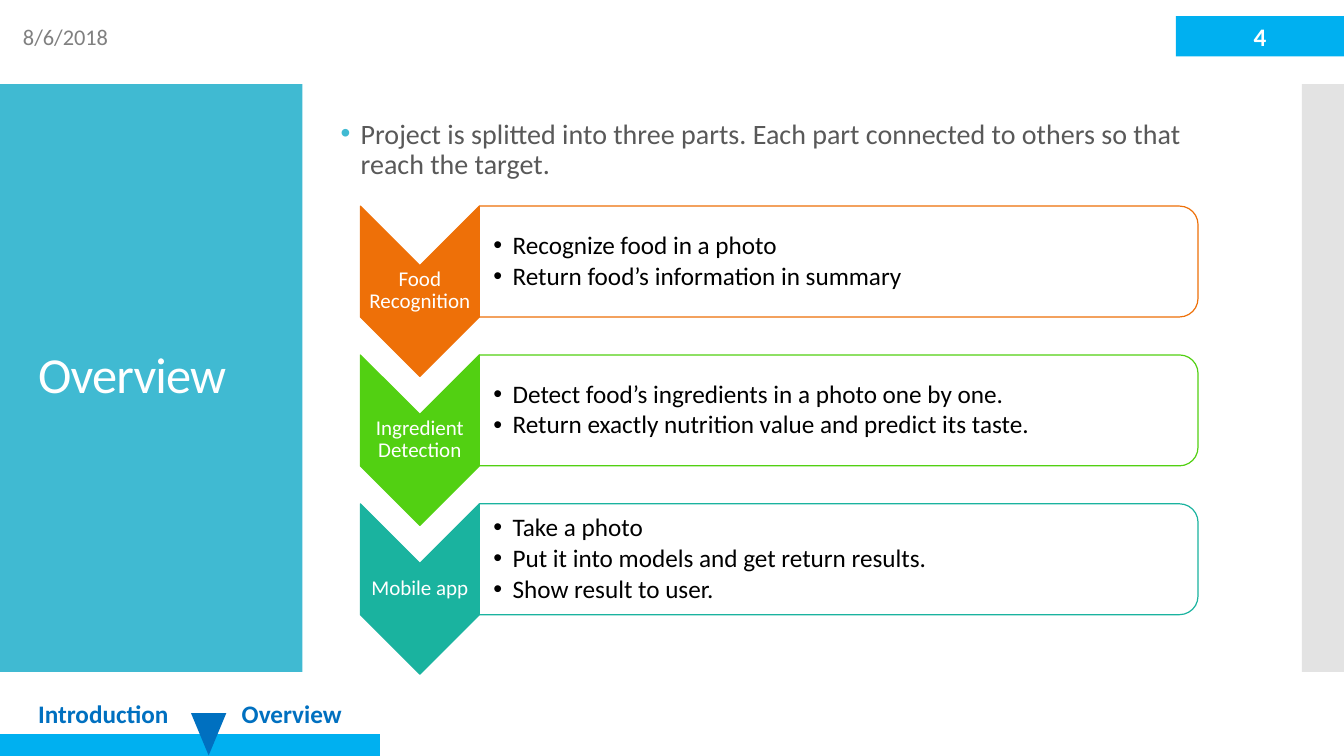
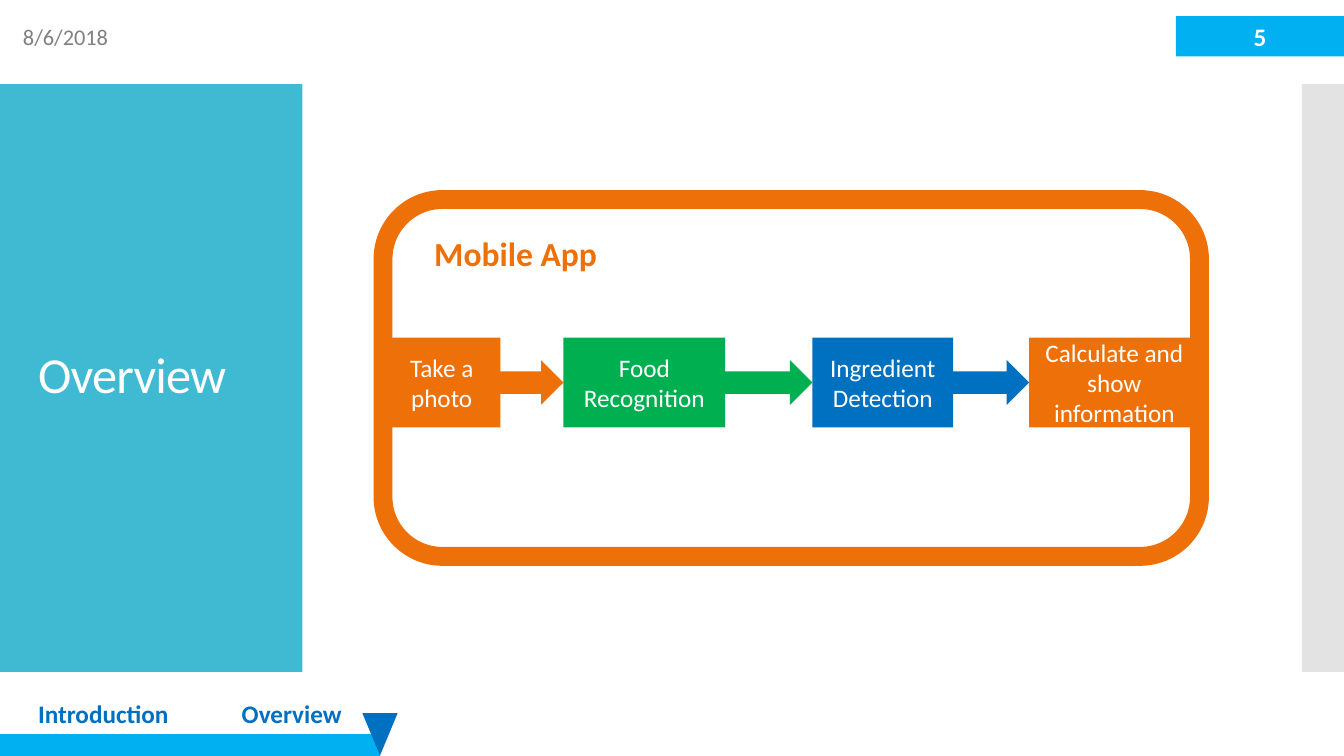
"""Build the two overview slides of a food recognition project."""
import lxml.etree
import pptx
import pptx.dml.color
import pptx.enum.shapes
import pptx.enum.text
import pptx.oxml.ns
import pptx.util

COLUMNS, ROWS = 160, 90
UNIT = pptx.util.Inches(7.5) / ROWS
SHAPE = pptx.enum.shapes.MSO_SHAPE
MIDDLE = pptx.enum.text.MSO_ANCHOR.MIDDLE
CENTER = pptx.enum.text.PP_ALIGN.CENTER

WHITE, BLACK = "FFFFFF", "000000"
TEAL, GRAY, BODY_GRAY, DATE_GRAY = "40BAD2", "E3E3E3", "595959", "808080"
SKY, BLUE = "00B0F0", "0070C0"
ORANGE, LIME, SEA, GREEN = "EE7008", "52D012", "1AB39F", "00B050"

TITLE = {"size": 36, "color": WHITE}
BODY = {"size": 20, "color": BODY_GRAY}
DATE = {"size": 16, "color": DATE_GRAY}
NUMBER = {"size": 18, "color": WHITE, "bold": True}
SECTION = {"size": 18, "color": BLUE, "bold": True}
HEADING = {"size": 24, "color": ORANGE, "bold": True}
STEP = {"size": 18, "color": WHITE}
PART = {"size": 15, "color": WHITE}
DETAIL = {"size": 18, "color": BLACK}

SECTIONS = [("Introduction", 3.36, 18.72, 0, 24.84),
            ("Overview", 27.6, 14.88, 24.84, 45.24)]
PARTS = [
    ("Food Recognition", ORANGE,
     ["Recognize food in a photo", "Return food’s information in summary"]),
    ("Ingredient Detection", LIME,
     ["Detect food’s ingredients in a photo one by one.",
      "Return exactly nutrition value and predict its taste."]),
    ("Mobile app", SEA,
     ["Take a photo", "Put it into models and get return results.",
      "Show result to user."]),
]
STEPS = [
    ("Take a photo", ORANGE, 21.48, SHAPE.RIGHT_ARROW_CALLOUT),
    ("Food Recognition", GREEN, 29.64, SHAPE.RIGHT_ARROW_CALLOUT),
    ("Ingredient Detection", BLUE, 25.8, SHAPE.RIGHT_ARROW_CALLOUT),
    ("Calculate and show information", ORANGE, 20.28, SHAPE.RECTANGLE),
]


def rgb(value):
    """Turn a hex string into a colour."""
    return pptx.dml.color.RGBColor.from_string(value)


def grid(*cells):
    """Turn grid columns and rows into slide lengths."""
    return [pptx.util.Emu(round(cell * UNIT)) for cell in cells]


def assign(target, values):
    """Set every attribute named in a dict of format values."""
    for name, value in values.items():
        setattr(target, name, value)


def add_bullet(para, indent, color=None):
    """Give a paragraph a hanging round bullet."""
    properties = para._p.get_or_add_pPr()
    width = pptx.util.Inches(indent)
    properties.set("marL", str(width))
    properties.set("indent", str(-width))
    qn = pptx.oxml.ns.qn
    if color:
        holder = lxml.etree.SubElement(properties, qn("a:buClr"))
        lxml.etree.SubElement(holder, qn("a:srgbClr")).set("val", color)
    lxml.etree.SubElement(properties, qn("a:buFont")).set("typeface", "Arial")
    lxml.etree.SubElement(properties, qn("a:buChar")).set("char", "•")


def write(box, lines, style, frame=None, layout=None, bullet=None, spacing=0):
    """Write one paragraph per line into a shape."""
    assign(box.text_frame, {"word_wrap": True, **(frame or {})})
    for index, line in enumerate(lines):
        if index:
            para = box.text_frame.add_paragraph()
        else:
            para = box.text_frame.paragraphs[0]
        assign(para, layout or {})
        if bullet:
            add_bullet(para, *bullet)
        span = para.add_run()
        span.text = line
        assign(span.font, {"name": "Calibri", "bold": style.get("bold", False),
                           "size": pptx.util.Pt(style["size"])})
        span.font.color.rgb = rgb(style["color"])
        if spacing:
            span._r.get_or_add_rPr().set("spc", str(spacing))


def add_text(page, cells, lines, style, **options):
    """Add a text box on the grid."""
    write(page.shapes.add_textbox(*grid(*cells)), lines, style, **options)


def add_block(page, kind, cells, fill=None, line=None, weight=0.85, rotation=0):
    """Add a preset shape that covers the given cells once rotated."""
    left, top, width, height = cells
    if rotation == 90:
        shift = (width - height) / 2
        left, top, width, height = left + shift, top - shift, height, width
    box = page.shapes.add_shape(kind, *grid(left, top, width, height))
    box.shadow.inherit = False
    box.rotation = rotation
    if fill:
        box.fill.solid()
        box.fill.fore_color.rgb = rgb(fill)
    else:
        box.fill.background()
    if line:
        box.line.color.rgb = rgb(line)
        box.line.width = pptx.util.Pt(weight)
    else:
        box.line.fill.background()
    return box


def add_page(deck, number, reached):
    """Add a page with bands, title, date, number and section progress."""
    page = deck.slides.add_slide(deck.slide_layouts[6])
    add_block(page, SHAPE.RECTANGLE, (0, 10, 36, 70), TEAL)
    add_block(page, SHAPE.RECTANGLE, (155, 10, 5, 70), GRAY)
    add_text(page, (3.36, 14.76, 29.64, 60.36), ["Overview"], TITLE,
             frame={"vertical_anchor": MIDDLE}, layout={"line_spacing": 0.9},
             spacing=-60)
    for name, left, width, start, end in SECTIONS:
        add_block(page, SHAPE.FLOWCHART_PROCESS,
                  (start, 87.36, end - start, 2.64), SKY)
        add_text(page, (left, 82.56, width, 4.8), [name], SECTION,
                 frame={"word_wrap": False})
    add_block(page, SHAPE.ISOSCELES_TRIANGLE,
              (SECTIONS[reached][-1] - 2.1, 84.9, 4.2, 5.04), BLUE, rotation=180)
    add_text(page, (1.56, 1.92, 36, 4.8), ["8/6/2018"], DATE,
             frame={"vertical_anchor": MIDDLE})
    badge = add_block(page, SHAPE.RECTANGLE, (140, 1.92, 20, 4.8), SKY)
    write(badge, [str(number)], NUMBER, frame={"vertical_anchor": MIDDLE},
          layout={"alignment": CENTER})
    return page


def add_part(page, top, name, color, details):
    """Add a chevron with its label and a panel of details."""
    margin = pptx.util.Inches(0.01)
    tight = {"vertical_anchor": MIDDLE, "margin_left": margin,
             "margin_right": margin, "margin_top": margin,
             "margin_bottom": margin}
    add_block(page, SHAPE.CHEVRON, (42.9, top, 14.16, 20.28), color, color,
              rotation=90)
    add_text(page, (42.9, top + 7.02, 14.16, 6.12), [name], PART, frame=tight,
             layout={"alignment": CENTER, "line_spacing": 0.9})
    add_block(page, SHAPE.ROUND_2_SAME_RECTANGLE, (57.06, top, 85.56, 13.2),
              WHITE, color, rotation=90)
    add_text(page, (57.06, top + 0.66, 84.96, 11.88), details, DETAIL,
             frame={**tight, "margin_left": pptx.util.Inches(0.14)},
             layout={"line_spacing": 0.9, "space_after": pptx.util.Pt(2.5)},
             bullet=(0.19,))


def add_steps(page, left, top, height):
    """Add the chain of steps, each starting where the last one ends."""
    for name, color, width, kind in STEPS:
        box = add_block(page, kind, (left, top, width, height), color)
        write(box, [name], STEP, frame={"vertical_anchor": MIDDLE},
              layout={"alignment": CENTER})
        left += width


def main():
    """Build and save the deck."""
    deck = pptx.Presentation()
    deck.slide_width, deck.slide_height = grid(COLUMNS, ROWS)

    page = add_page(deck, 4, 0)
    add_text(page, (39.36, 11.28, 107.4, 13.2),
             ["Project is splitted into three parts. Each part connected to "
              "others so that reach the target."], BODY,
             frame={"vertical_anchor": MIDDLE}, layout={"line_spacing": 0.9},
             bullet=(0.2, TEAL))
    for index, part in enumerate(PARTS):
        add_part(page, 24.54 + index * 17.72, *part)

    page = add_page(deck, 5, 1)
    add_steps(page, 45.6, 40.2, 10.68)
    add_block(page, SHAPE.ROUNDED_RECTANGLE, (45.6, 23.76, 97.2, 42.48),
              line=ORANGE, weight=13.5)
    add_text(page, (50.52, 27.12, 22.08, 6), ["Mobile App"], HEADING,
             frame={"word_wrap": False})

    deck.save("out.pptx")


if __name__ == "__main__":
    main()
